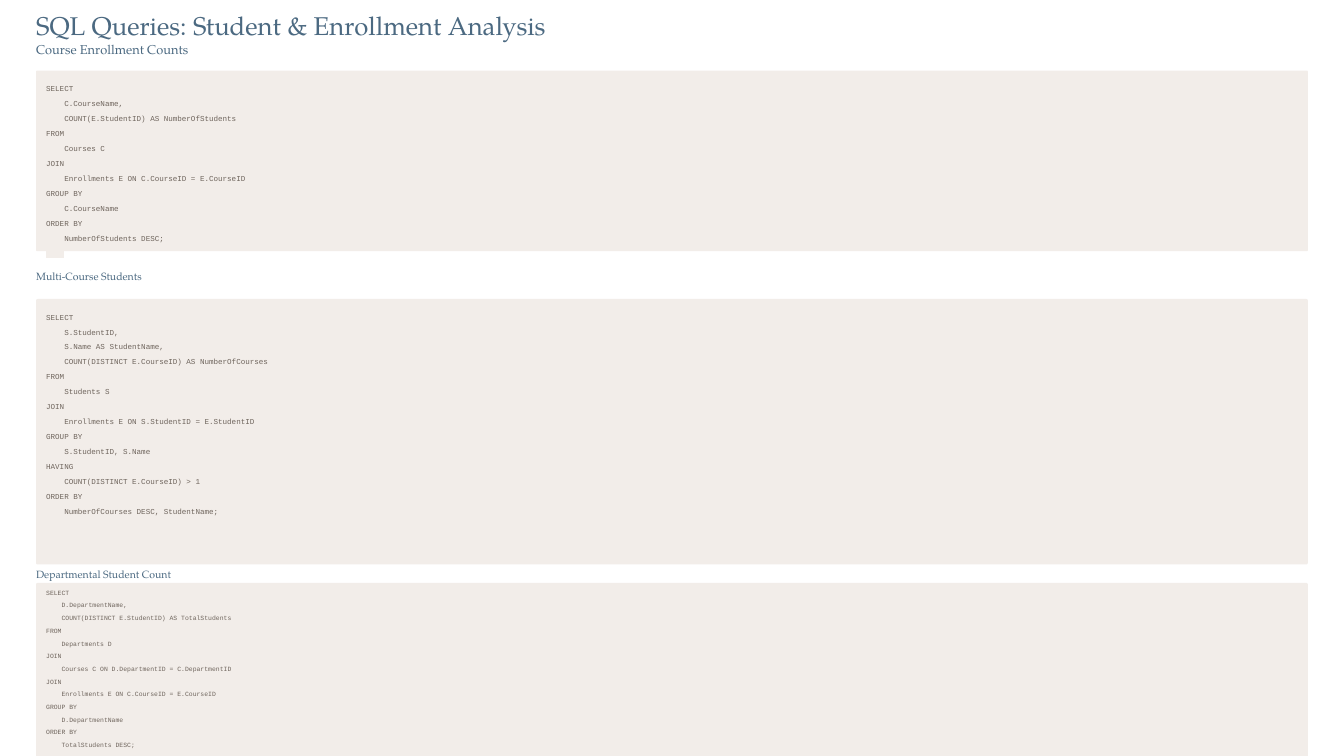
from pptx import Presentation
from pptx.dml.color import RGBColor
from pptx.enum.shapes import MSO_SHAPE as SHAPE
from pptx.enum.text import MSO_ANCHOR as ANCHOR, MSO_AUTO_SIZE as AUTO, PP_ALIGN as ALIGN
from pptx.util import Inches, Pt

HEADING = RGBColor(0x4B, 0x69, 0x81)
CODE = RGBColor(0x6F, 0x65, 0x5D)
PANEL = RGBColor(0xF2, 0xED, 0xE9)
SERIF, MONO = "TeX Gyre Pagella", "Courier New"
LEFT, CODE_LEFT = 0.43, 0.55
PANEL_W, CODE_W = 15.14, 14.9

COURSE_COUNTS = """SELECT
    C.CourseName,
    COUNT(E.StudentID) AS NumberOfStudents
FROM
    Courses C
JOIN
    Enrollments E ON C.CourseID = E.CourseID
GROUP BY
    C.CourseName
ORDER BY
    NumberOfStudents DESC;"""

MULTI_COURSE = """SELECT
    S.StudentID,
    S.Name AS StudentName,
    COUNT(DISTINCT E.CourseID) AS NumberOfCourses
FROM
    Students S
JOIN
    Enrollments E ON S.StudentID = E.StudentID
GROUP BY
    S.StudentID, S.Name
HAVING
    COUNT(DISTINCT E.CourseID) > 1
ORDER BY
    NumberOfCourses DESC, StudentName;"""

DEPARTMENT_COUNT = """SELECT
    D.DepartmentName,
    COUNT(DISTINCT E.StudentID) AS TotalStudents
FROM
    Departments D
JOIN
    Courses C ON D.DepartmentID = C.DepartmentID
JOIN
    Enrollments E ON C.CourseID = E.CourseID
GROUP BY
    D.DepartmentName
ORDER BY
    TotalStudents DESC;"""

# heading, heading top, width and size, panel top and height, code top and size, code
SECTIONS = [
    ("Course Enrollment Counts", 0.46, 1.89, 11, 0.84, 2.15, 0.93, 6.5, COURSE_COUNTS),
    ("Multi-Course Students", 3.18, 1.62, 9, 3.56, 3.16, 3.65, 6.5, MULTI_COURSE),
    ("Departmental Student Count", 6.73, 2.05, 9, 6.94, 2.96, 6.95, 5.5, DEPARTMENT_COUNT),
]


def write_lines(sp, lines, size, font, color, spacing):
    tf = sp.text_frame
    tf.word_wrap = True
    tf.auto_size = AUTO.NONE
    tf.vertical_anchor = ANCHOR.TOP
    tf.margin_left = tf.margin_top = tf.margin_right = tf.margin_bottom = 0
    for i, line in enumerate(lines):
        p = tf.add_paragraph() if i else tf.paragraphs[0]
        p.alignment = ALIGN.LEFT
        p.line_spacing = spacing
        r = p.add_run()
        r.text = line
        r.font.size, r.font.name = Pt(size), font
        r.font.color.rgb = color


def add_title(s, text):
    sp = s.shapes.title
    sp.left, sp.top = Inches(LEFT), Inches(0.02)
    sp.width, sp.height = Inches(6.32), Inches(0.39)
    write_lines(sp, [text], 22, SERIF, HEADING, 1.25)


def add_heading(s, text, top, width, size):
    sp = s.shapes.add_textbox(Inches(LEFT), Inches(top), Inches(width), Inches(0.19))
    write_lines(sp, [text], size, SERIF, HEADING, 1.23)


def add_panel(s, kind, left, top, width, height):
    sp = s.shapes.add_shape(kind, Inches(left), Inches(top), Inches(width), Inches(height))
    sp.shadow.inherit = False
    sp.fill.solid()
    sp.fill.fore_color.rgb = PANEL
    sp.line.fill.background()
    return sp


def add_code(s, code, top, height, size):
    sp = s.shapes.add_textbox(Inches(CODE_LEFT), Inches(top), Inches(CODE_W), Inches(height))
    write_lines(sp, code.splitlines(), size, MONO, CODE, 1.65)


def main():
    prs = Presentation()
    prs.slide_width, prs.slide_height = Inches(16), Inches(9)
    s = prs.slides.add_slide(prs.slide_layouts[5])
    add_title(s, "SQL Queries: Student & Enrollment Analysis")

    # Heading, panel and query of each section
    for heading, y, width, size, panel_y, panel_h, code_y, code_size, code in SECTIONS:
        add_heading(s, heading, y, width, size)
        panel = add_panel(s, SHAPE.ROUNDED_RECTANGLE, LEFT, panel_y, PANEL_W, panel_h)
        panel.adjustments[0] = 0.006
        add_code(s, code, code_y, panel_y + panel_h - code_y, code_size)

    # Small tab under the first panel
    add_panel(s, SHAPE.RECTANGLE, CODE_LEFT, 2.98, 0.21, 0.09)
    prs.save("out.pptx")


if __name__ == "__main__":
    main()
